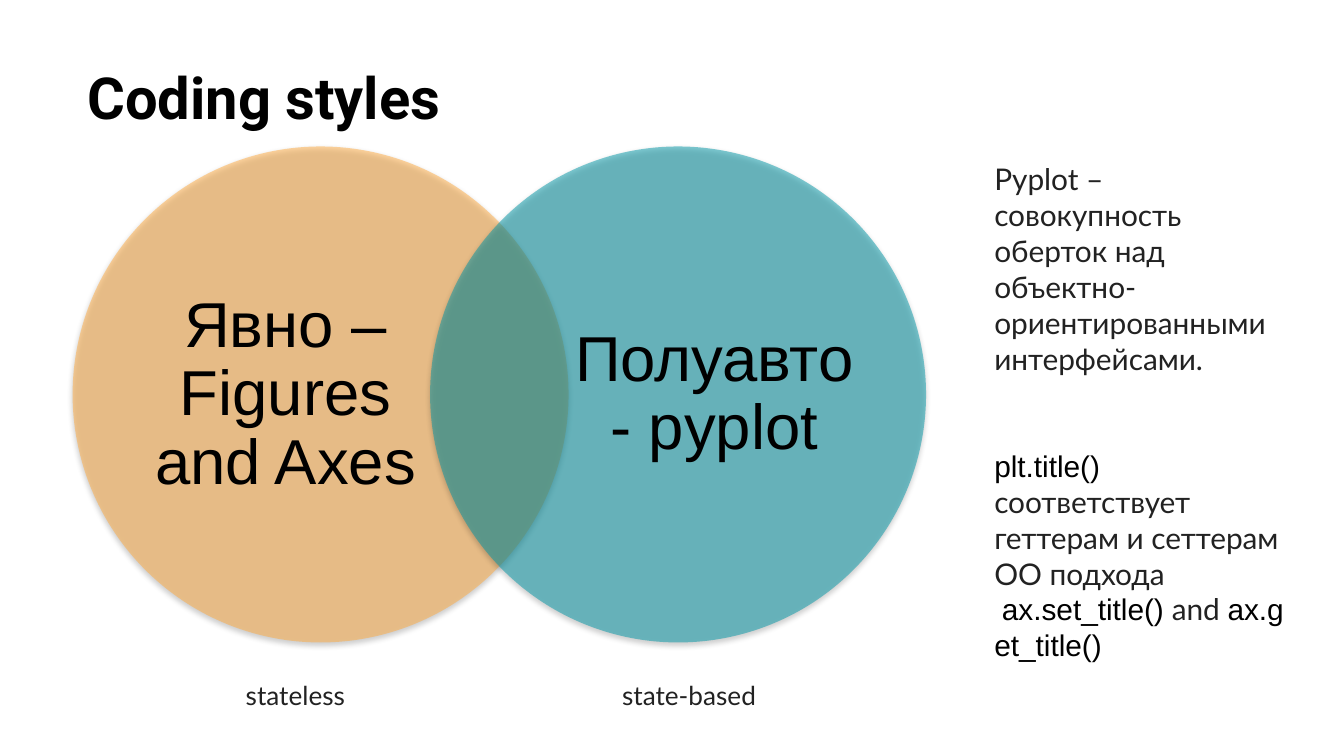
from lxml import etree
from pptx import Presentation
from pptx.dml.color import RGBColor
from pptx.enum.shapes import MSO_SHAPE
from pptx.enum.text import MSO_ANCHOR, MSO_AUTO_SIZE, PP_ALIGN
from pptx.oxml import parse_xml
from pptx.oxml.ns import qn
from pptx.util import Inches, Pt

OVAL = MSO_SHAPE.OVAL
TOP, MIDDLE = MSO_ANCHOR.TOP, MSO_ANCHOR.MIDDLE
LEFT, CENTER = PP_ALIGN.LEFT, PP_ALIGN.CENTER
NO_AUTOFIT = MSO_AUTO_SIZE.NONE

SLIDE_WIDTH = 10
BLACK, DARK_GRAY = "000000", "222222"
NO_BREAK_SPACE = chr(160)
CIRCLE_TOP, CIRCLE_SIZE = 1.09, 3.69
SHADOW = """
<a:effectLst xmlns:a="http://schemas.openxmlformats.org/drawingml/2006/main">
  <a:outerShdw blurRad="39370" dist="20320" dir="5400000" rotWithShape="0">
    <a:srgbClr val="000000"><a:alpha val="38000"/></a:srgbClr>
  </a:outerShdw>
</a:effectLst>"""


def rgb(value):
    return RGBColor.from_string(value)


def place(shape, left, top, width, height):
    shape.left, shape.top = Inches(left), Inches(top)
    shape.width, shape.height = Inches(width), Inches(height)


def add_run(paragraph, text, font="Lato", size=16, color=DARK_GRAY, bold=False):
    run = paragraph.add_run()
    run.text = text
    run.font.name = font
    run.font.size = Pt(size)
    run.font.color.rgb = rgb(color)
    run.font.bold = bold


def set_frame(shape, anchor=TOP, inset_x=0.1, inset_y=0.05):
    frame = shape.text_frame
    frame.word_wrap = True
    frame.auto_size = NO_AUTOFIT
    frame.vertical_anchor = anchor
    frame.margin_left = frame.margin_right = Inches(inset_x)
    frame.margin_top = frame.margin_bottom = Inches(inset_y)
    return frame


def add_text_box(slide, box, **frame_format):
    left, top, width, height = (Inches(length) for length in box)
    shape = slide.shapes.add_textbox(left, top, width, height)
    return set_frame(shape, **frame_format)


def add_circle(slide, left, color):
    circle = slide.shapes.add_shape(
        OVAL, Inches(left), Inches(CIRCLE_TOP), Inches(CIRCLE_SIZE), Inches(CIRCLE_SIZE))
    circle.fill.solid()
    circle.fill.fore_color.rgb = rgb(color)
    properties = circle._element.spPr
    fill_color = properties.find(qn("a:solidFill")).find(qn("a:srgbClr"))
    etree.SubElement(fill_color, qn("a:alpha")).set("val", "50000")
    circle.line.fill.background()
    # Soft shadow below the circle
    properties.append(parse_xml(SHADOW))


def add_style_name(slide, left, text):
    frame = add_text_box(slide, (left, 1.53, 2.13, 2.82),
                         anchor=MIDDLE, inset_x=0, inset_y=0)
    paragraph = frame.paragraphs[0]
    paragraph.alignment = CENTER
    paragraph.line_spacing = 0.9
    add_run(paragraph, text, font="Arial", size=34, color=BLACK)


def add_caption(slide, left, text):
    frame = add_text_box(slide, (left, 5.01, 1.35, 0.34))
    add_run(frame.paragraphs[0], text, size=14)


def add_explanation(slide):
    frame = add_text_box(slide, (7.3, 1.15, 2.44, 3.33))
    add_run(frame.paragraphs[0],
            "Pyplot – совокупность оберток над объектно-ориентированными интерфейсами.")
    methods = frame.add_paragraph()
    methods.space_before = Pt(38.4)
    code = {"font": "Arial", "color": BLACK}
    for text, text_format in (
        ("plt.title()", code),
        (" соответствует геттерам и сеттерам ОО подхода " + NO_BREAK_SPACE, {}),
        ("ax.set_title()", code),
        (NO_BREAK_SPACE + "and" + NO_BREAK_SPACE, {}),
        ("ax.get_title()", code),
    ):
        add_run(methods, text, **text_format)


def add_title(slide, text):
    title = slide.shapes.title
    place(title, 0.55, 0.36, 9.32, 1.2)
    paragraph = set_frame(title, inset_y=0.1).paragraphs[0]
    paragraph.alignment = LEFT
    add_run(paragraph, text, font="Roboto", size=31, color=BLACK, bold=True)


def main():
    prs = Presentation()
    # Widescreen 16:9
    prs.slide_width = Inches(SLIDE_WIDTH)
    prs.slide_height = Inches(SLIDE_WIDTH * 9 / 16)
    slide = prs.slides.add_slide(prs.slide_layouts[5])
    add_title(slide, "Coding styles")

    # Overlapping circles, each with its style name
    for circle_left, color, name_left, name in (
        (0.54, "FFAB40", 1.06, "Явно – Figures and Axes"),
        (3.2, "0097A7", 4.25, "Полуавто - pyplot"),
    ):
        add_circle(slide, circle_left, color)
        add_style_name(slide, name_left, name)

    # Captions under the circles
    add_caption(slide, 1.73, "stateless")
    add_caption(slide, 4.53, "state-based")

    # Side explanation
    add_explanation(slide)
    prs.save("out.pptx")


if __name__ == "__main__":
    main()
